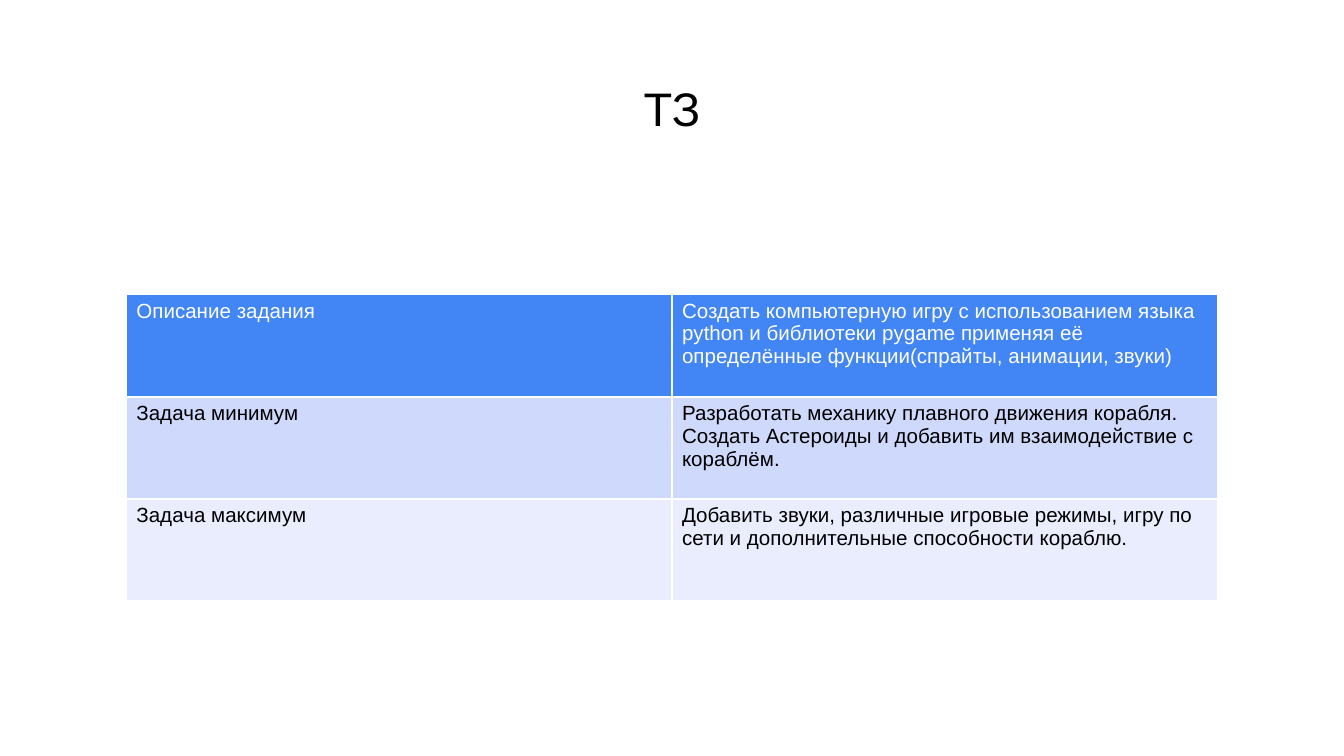
import pptx
import pptx.dml.color
import pptx.enum.text
import pptx.oxml
import pptx.oxml.ns
import pptx.util

# Widescreen, 16 to 9
WIDTH = pptx.util.Inches(10)
HEIGHT = WIDTH * 9 // 16
FONT = "Arial"
COLORS = {
    "title": "000000",
    "header": "4285F4",
    "header_text": "FFFFFF",
    "body_text": "000000",
    "odd_row": "CFD9FB",
    "even_row": "E9EDFD",
    "border": "FFFFFF",
}
TASKS = [
    ("Описание задания",
     "Создать компьютерную игру с использованием языка python и библиотеки "
     "pygame применяя её определённые функции(спрайты, анимации, звуки)"),
    ("Задача минимум",
     "Разработать механику плавного движения корабля. Создать Астероиды и "
     "добавить им взаимодействие с кораблём."),
    ("Задача максимум",
     "Добавить звуки, различные игровые режимы, игру по сети и "
     "дополнительные способности кораблю."),
]
ROW_STYLES = [("header", "header_text"), ("odd_row", "body_text"),
              ("even_row", "body_text")]


def percent_box(left, top, width, height):
    """Turn percentages of the slide's size into lengths."""
    return [pptx.util.Emu(round(percent * side / 100)) for percent, side in
            zip((left, top, width, height), (WIDTH, HEIGHT) * 2)]


def apply_format(target, values):
    for name, value in values.items():
        setattr(target, name, value)


def write_text(text_frame, text, size, color, alignment):
    paragraph = text_frame.paragraphs[0]
    paragraph.alignment = alignment
    run = paragraph.add_run()
    run.text = text
    apply_format(run.font, {"name": FONT, "size": pptx.util.Pt(size)})
    run.font.color.rgb = pptx.dml.color.RGBColor.from_string(COLORS[color])


def add_title(slide, text):
    frame = slide.shapes.add_textbox(*percent_box(3.4, 8.65, 93.2, 11.13)).text_frame
    apply_format(frame, {
        "word_wrap": True,
        "vertical_anchor": pptx.enum.text.MSO_ANCHOR.MIDDLE,
    })
    write_text(frame, text, 25.2, "title", pptx.enum.text.PP_ALIGN.CENTER)


def add_borders(cell, width):
    properties = cell._tc.get_or_add_tcPr()
    for index, side in enumerate("LRTB"):
        border = pptx.oxml.parse_xml(
            f'<a:ln{side} {pptx.oxml.ns.nsdecls("a")} w="{pptx.util.Pt(width)}">'
            f'<a:solidFill><a:srgbClr val="{COLORS["border"]}"/></a:solidFill>'
            f'</a:ln{side}>')
        properties.insert(index, border)


def fill_cell(cell, text, fill, text_color):
    side, end = pptx.util.Pt(5.4), pptx.util.Pt(2.7)
    apply_format(cell, {"margin_left": side, "margin_right": side,
                        "margin_top": end, "margin_bottom": end})
    cell.fill.solid()
    cell.fill.fore_color.rgb = pptx.dml.color.RGBColor.from_string(COLORS[fill])
    write_text(cell.text_frame, text, 11, text_color, pptx.enum.text.PP_ALIGN.LEFT)
    add_borders(cell, 1)


def add_task_table(slide, tasks):
    box = percent_box(9.4, 38.95, 81.2, 40.6)
    table = slide.shapes.add_table(len(tasks), len(tasks[0]), *box).table
    for row, (texts, style) in enumerate(zip(tasks, ROW_STYLES)):
        for column, text in enumerate(texts):
            fill_cell(table.cell(row, column), text, *style)


def main():
    presentation = pptx.Presentation()
    apply_format(presentation, {"slide_width": WIDTH, "slide_height": HEIGHT})
    slide = presentation.slides.add_slide(presentation.slide_layouts[6])

    # Heading
    add_title(slide, "ТЗ")

    # Task description, minimum and maximum
    add_task_table(slide, TASKS)

    presentation.save("out.pptx")


if __name__ == "__main__":
    main()
